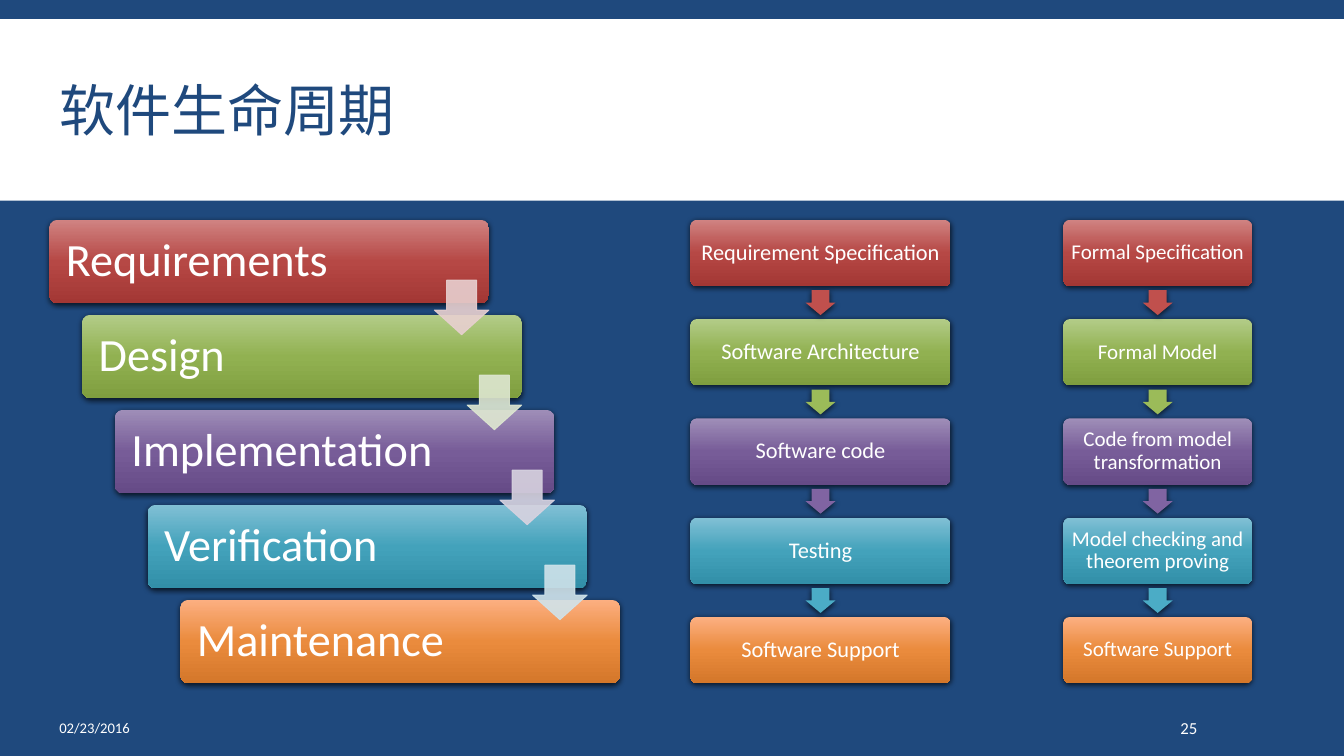
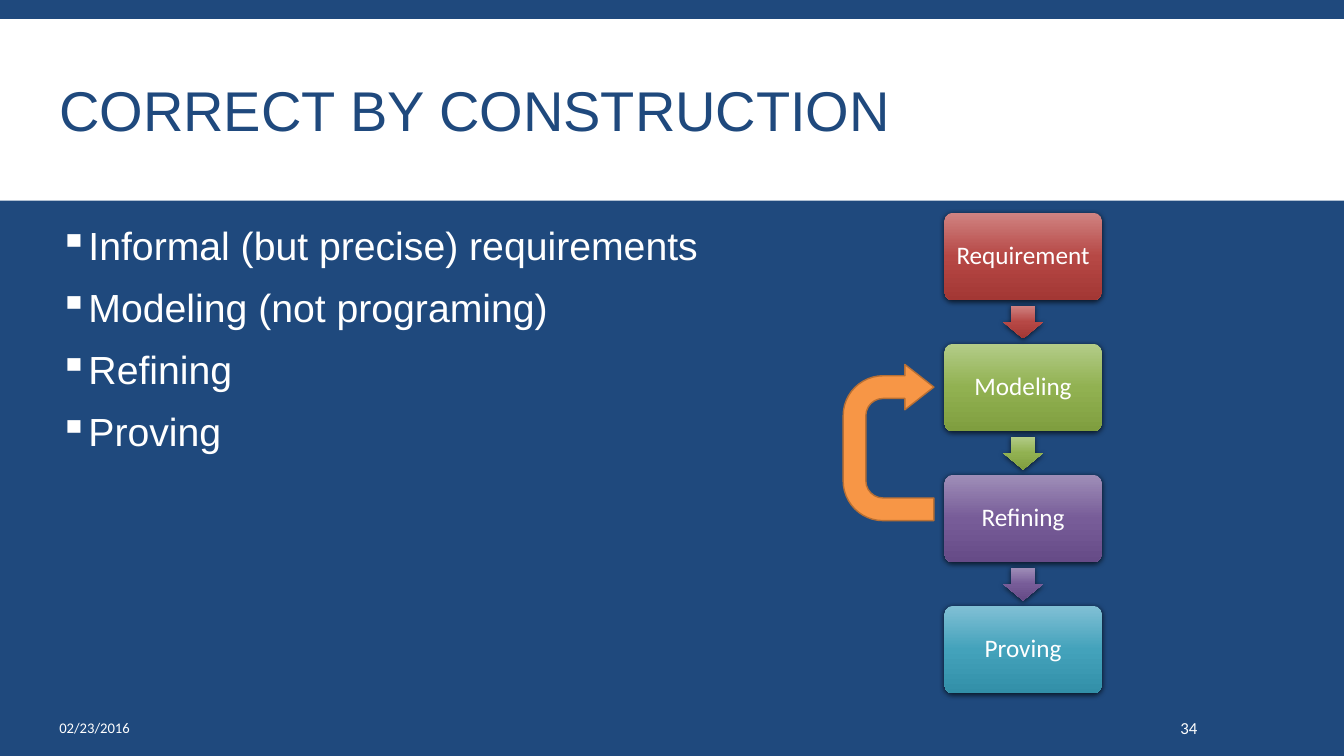
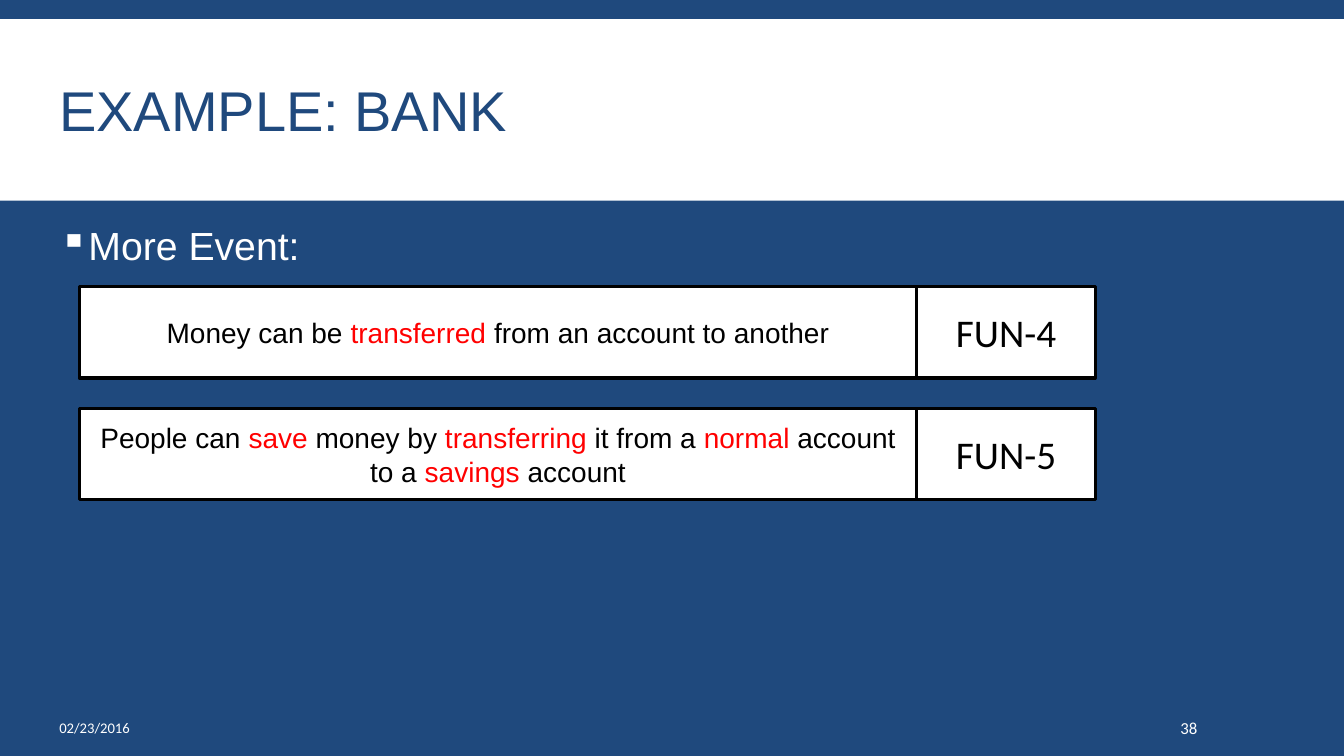
from copy import deepcopy
from dataclasses import dataclass
from typing import NamedTuple, Sequence

from lxml.etree import SubElement
from pptx import Presentation
from pptx.dml.color import RGBColor
from pptx.enum.shapes import MSO_SHAPE as Preset
from pptx.enum.text import MSO_ANCHOR as Anchor, PP_ALIGN as Align
from pptx.oxml.ns import qn
from pptx.shapes.autoshape import Shape
from pptx.slide import Slide
from pptx.util import Emu, Inches, Pt

# The slide is a grid of square cells; every length below counts cells.
COLUMNS, ROWS = 133.33, 75
CELL = Inches(0.1)

NAVY = RGBColor(0x1F, 0x49, 0x7D)
WHITE = RGBColor(0xFF, 0xFF, 0xFF)
BLACK = RGBColor(0x00, 0x00, 0x00)
RED = RGBColor(0xFF, 0x00, 0x00)
ORANGE = RGBColor(0xF7, 0x96, 0x46)
ORANGE_EDGE = RGBColor(0xB7, 0x6F, 0x34)

HEADING_FONT, LABEL_FONT = "Arial", "Calibri"
MARGIN, CONTENT_WIDTH = 4.9, 123.3
DATE = "02/23/2016"


class Area(NamedTuple):
    left: float
    top: float
    width: float
    height: float


class Tone(NamedTuple):
    """Gradient of a box, with the flat and pale colours of its arrows."""
    gradient: tuple[RGBColor, RGBColor, RGBColor]
    flat: RGBColor
    pale: RGBColor


def tone(light: str, middle: str, dark: str, flat: str, pale: str) -> Tone:
    rgb = RGBColor.from_string
    return Tone((rgb(light), rgb(middle), rgb(dark)), rgb(flat), rgb(pale))


TONES = (
    tone("D08382", "B64845", "A33734", "C0504D", "E8D0D0"),
    tone("B3CC88", "91B151", "7F9E3F", "9BBB59", "DEE7D1"),
    tone("9F8EB8", "775C98", "664B87", "8064A2", "D8D3E0"),
    tone("81C0D5", "43A2BB", "328FA8", "4BACC6", "D0E3EA"),
    tone("FCAF81", "EA8B3D", "D4772A", "F79646", "FBDCC8"),
)


@dataclass(frozen=True)
class Flow:
    """Boxes spread evenly down an area, each shifted right by `shift`."""
    labels: Sequence[str]
    area: Area
    box_height: float
    size: float
    inset: float = 0.7
    shift: float = 0

    @property
    def step(self) -> float:
        return (self.area.height - self.box_height) / (len(self.labels) - 1)

    def box(self, index: int) -> Area:
        return Area(self.area.left + index * self.shift,
                    self.area.top + index * self.step,
                    self.area.width, self.box_height)


@dataclass(frozen=True)
class Rule:
    """A numbered requirement; its words alternate plain and stressed."""
    words: Sequence[str]
    code: str


def emu(cells: float) -> Emu:
    return Emu(round(cells * CELL))


def write(shape: Shape, paragraphs: Sequence[Sequence[str]], *, size: float,
          font: str = LABEL_FONT, color: RGBColor = WHITE,
          stress: RGBColor = RED, align: Align = Align.LEFT,
          anchor: Anchor = Anchor.MIDDLE, spacing: float = 1,
          before: float = 0, after: float = 0, bullet: str = "",
          insets: tuple[float, float, float, float] = (1, 0.5, 1, 0.5)) -> None:
    """Fill a shape; every second span of a paragraph takes the stress colour."""
    frame = shape.text_frame
    frame.word_wrap = True
    frame.vertical_anchor = anchor
    (frame.margin_left, frame.margin_top,
     frame.margin_right, frame.margin_bottom) = map(emu, insets)
    for number, spans in enumerate(paragraphs):
        para = frame.add_paragraph() if number else frame.paragraphs[0]
        if bullet:
            add_bullet(para, bullet, color)
        para.alignment = align
        para.line_spacing = spacing
        para.space_before = Pt(before if number else 0)
        para.space_after = Pt(after)
        for position, text in enumerate(spans):
            span = para.add_run()
            span.text = text
            span.font.name = font
            span.font.size = Pt(size)
            span.font.color.rgb = stress if position % 2 else color


def add_bullet(para, symbol: str, color: RGBColor) -> None:
    props = para._p.get_or_add_pPr()
    props.set("marL", str(emu(2)))
    props.set("indent", str(emu(-2)))
    SubElement(SubElement(props, qn("a:buClr")), qn("a:srgbClr"), val=str(color))
    SubElement(props, qn("a:buChar"), char=symbol)


def add_text(page: Slide, area: Area, *lines: str, **style) -> None:
    box = page.shapes.add_textbox(*map(emu, area))
    write(box, [[line] for line in lines], **style)


def add_preset(page: Slide, preset: Preset, area: Area,
               fill: RGBColor | None = None, line: RGBColor | None = None,
               weight: float = 1, adjust: Sequence[float] = ()) -> Shape:
    shape = page.shapes.add_shape(preset, *map(emu, area))
    shape.shadow.inherit = False
    for index, value in enumerate(adjust):
        shape.adjustments[index] = value
    if fill is not None:
        shape.fill.solid()
        shape.fill.fore_color.rgb = fill
    if line is None:
        shape.line.fill.background()
    else:
        shape.line.color.rgb = line
        shape.line.width = Pt(weight)
    return shape


def shade(shape: Shape, colors: Sequence[RGBColor]) -> None:
    """Give a top-to-bottom gradient of three evenly spaced colours."""
    fill = shape.fill
    fill.gradient()
    fill.gradient_angle = 270
    stop_list = shape._element.spPr.find(".//" + qn("a:gsLst"))
    stop_list.insert(1, deepcopy(stop_list[0]))
    for stop, position, color in zip(fill.gradient_stops, (0, 0.5, 1), colors):
        stop.position = position
        stop.color.rgb = color


def add_shadow(shape: Shape) -> None:
    effects = shape._element.spPr.find(qn("a:effectLst"))
    shadow = SubElement(effects, qn("a:outerShdw"), blurRad=str(Pt(4)),
                        dist=str(Pt(1.2)), dir="5400000", rotWithShape="0")
    color = SubElement(shadow, qn("a:srgbClr"), val=str(BLACK))
    SubElement(color, qn("a:alpha"), val="68000")


def set_opacity(shape: Shape, percent: int) -> None:
    for color in shape._element.spPr.iter(qn("a:srgbClr")):
        SubElement(color, qn("a:alpha"), val=str(percent * 1000))


def add_boxes(page: Slide, flow: Flow, align: Align) -> None:
    for index, (label, hue) in enumerate(zip(flow.labels, TONES)):
        box = add_preset(page, Preset.ROUNDED_RECTANGLE, flow.box(index), adjust=(0.1,))
        shade(box, hue.gradient)
        add_shadow(box)
        write(box, [[label]], size=flow.size, align=align, spacing=0.9,
              insets=(flow.inset,) * 4)


def add_chain(page: Slide, flow: Flow, shaded_arrows: bool = False) -> None:
    """Draw a column of boxes with an arrow in the middle of each gap."""
    add_boxes(page, flow, Align.CENTER)
    gap = flow.step - flow.box_height
    height = 0.76 * gap
    width = 1.2 * height
    for index, hue in enumerate(TONES[:len(flow.labels) - 1]):
        box = flow.box(index)
        area = Area(box.left + (box.width - width) / 2,
                    box.top + box.height + (gap - height) / 2, width, height)
        arrow = add_preset(page, Preset.DOWN_ARROW, area, hue.flat, adjust=(0.6, 0.5))
        if shaded_arrows:
            shade(arrow, hue.gradient)
        add_shadow(arrow)


def add_staircase(page: Slide, flow: Flow) -> None:
    """Draw stepped boxes with a pale arrow over each right-hand corner."""
    add_boxes(page, flow, Align.LEFT)
    side = 5.4
    for index, hue in enumerate(TONES[:len(flow.labels) - 1]):
        box = flow.box(index)
        area = Area(box.left + box.width - side, box.top + 6, side, side)
        arrow = add_preset(page, Preset.DOWN_ARROW, area, hue.pale, hue.pale,
                           0.75, (0.55, 0.45))
        set_opacity(arrow, 90)


def add_rule(page: Slide, rule: Rule, top: float) -> None:
    left, text_width, code_width, height = 7.85, 83.1, 17.7, 9.1
    cells = (
        (Area(left, top, text_width, height), rule.words, HEADING_FONT, 20),
        (Area(left + text_width, top, code_width, height), [rule.code], LABEL_FONT, 28),
    )
    for area, words, font, size in cells:
        cell = add_preset(page, Preset.RECTANGLE, area, WHITE, BLACK, 2.25)
        write(cell, [words], size=size, font=font, color=BLACK, align=Align.CENTER)


def add_bullets(page: Slide, *lines: str) -> None:
    add_text(page, Area(MARGIN, 22, CONTENT_WIDTH, 46), *lines, size=28,
             font=HEADING_FONT, anchor=Anchor.TOP, spacing=0.9, before=12,
             after=2, bullet="▪")


def add_page(deck, title: str, number: int) -> Slide:
    page = deck.slides.add_slide(deck.slide_layouts[6])
    add_preset(page, Preset.RECTANGLE, Area(0, 1.9, COLUMNS, 18), WHITE)
    add_text(page, Area(MARGIN, 3.1, CONTENT_WIDTH, 16.5), title, size=40,
             font=HEADING_FONT, color=NAVY, spacing=0.85)
    add_text(page, Area(MARGIN, 70.2, 41.1, 4), DATE, size=10.5,
             insets=(1, 0.5, 0.5, 0.5))
    add_text(page, Area(116.6, 70.2, 11.7, 4), str(number), size=12,
             insets=(0.5, 0.5, 1, 0.5))
    return page


def build_life_cycle(deck) -> None:
    page = add_page(deck, "软件生命周期", 25)
    top, height = 21.8, 46
    add_chain(page, Flow(
        ("Requirement Specification", "Software Architecture", "Software code",
         "Testing", "Software Support"),
        Area(68.5, top, 25.8, height), box_height=6.6, size=16))
    add_staircase(page, Flow(
        ("Requirements", "Design", "Implementation", "Verification", "Maintenance"),
        Area(MARGIN, top, 43.6, height), box_height=8.3, size=33, inset=1.4,
        shift=3.25))
    add_chain(page, Flow(
        ("Formal Specification", "Formal Model", "Code from model transformation",
         "Model checking and theorem proving", "Software Support"),
        Area(105.5, top, 18.7, height), box_height=6.6, size=15, inset=0.6))


def build_construction(deck) -> None:
    page = add_page(deck, "CORRECT BY CONSTRUCTION", 34)
    add_bullets(page, "Informal (but precise) requirements",
                "Modeling (not programing)", "Refining", "Proving")
    add_chain(page, Flow(
        ("Requirement", "Modeling", "Refining", "Proving"),
        Area(93.7, 21.1, 15.6, 47.7), box_height=8.7, size=18), shaded_arrows=True)
    loop = add_preset(page, Preset.U_TURN_ARROW, Area(80.4, 39.4, 15.5, 9),
                      ORANGE, ORANGE_EDGE, 1, (0.25, 0.25, 0.32, 0.44, 1))
    loop.rotation = 270


def build_bank(deck) -> None:
    page = add_page(deck, "EXAMPLE: BANK", 38)
    add_bullets(page, "More Event:")
    rules = (
        Rule(("Money can be ", "transferred", " from an account to another"), "FUN-4"),
        Rule(("People can ", "save", " money by ", "transferring", " it from a ",
              "normal", " account to a ", "savings", " account"), "FUN-5"),
    )
    for index, rule in enumerate(rules):
        add_rule(page, rule, 28.4 + index * 12.1)


def main() -> None:
    deck = Presentation()
    deck.slide_width, deck.slide_height = emu(COLUMNS), emu(ROWS)
    backdrop = deck.slide_master.background.fill
    backdrop.solid()
    backdrop.fore_color.rgb = NAVY
    build_life_cycle(deck)
    build_construction(deck)
    build_bank(deck)
    deck.save("out.pptx")


if __name__ == "__main__":
    main()
